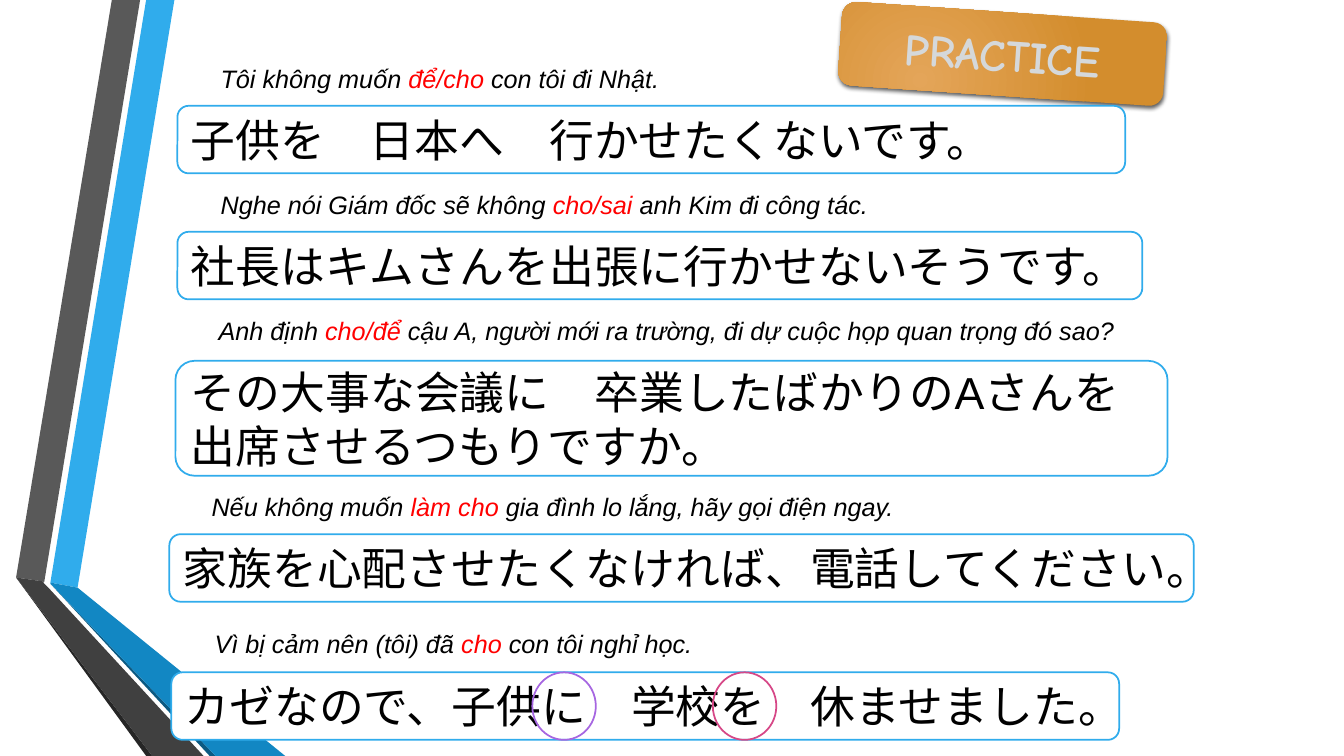
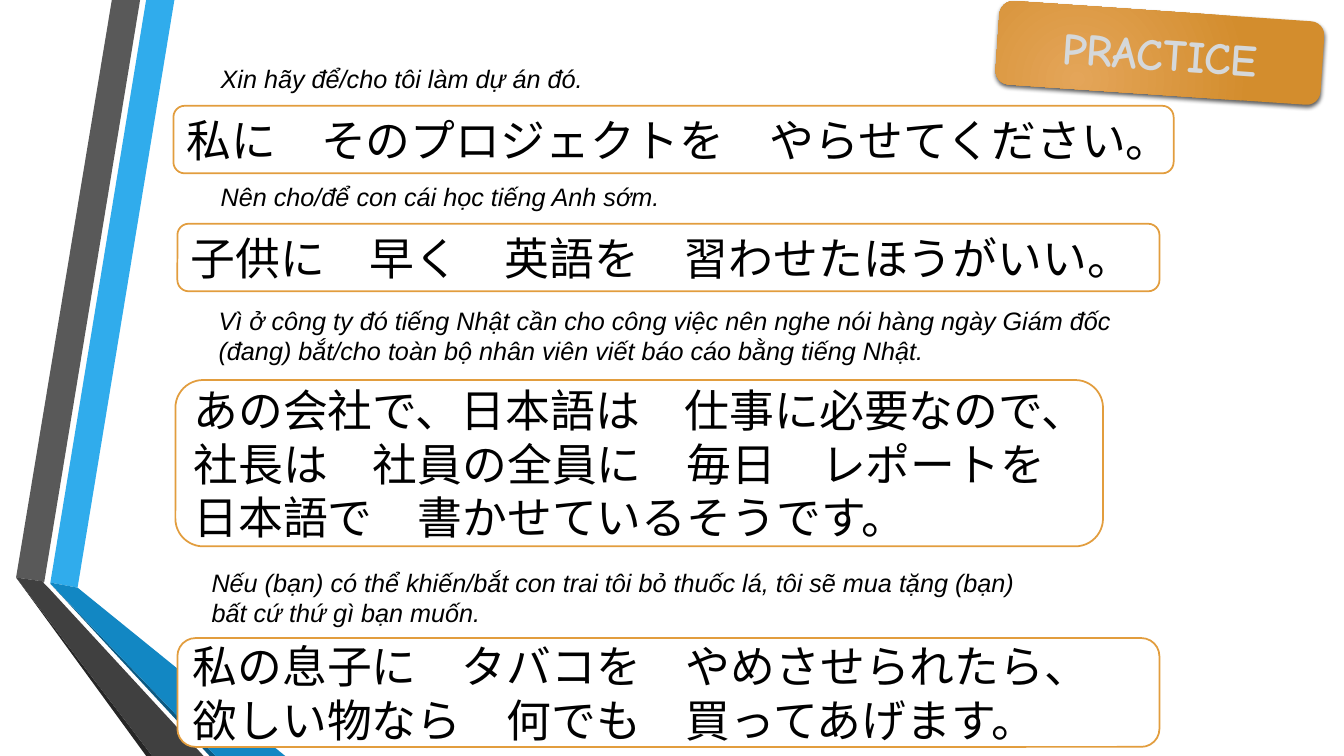
import dataclasses

import pptx
import pptx.dml.color
import pptx.enum.shapes
import pptx.enum.text
import pptx.oxml
import pptx.oxml.ns
import pptx.util

SHAPES = pptx.enum.shapes.MSO_SHAPE
ALIGN = pptx.enum.text.PP_ALIGN
CELL = pptx.util.Inches(0.1)  # one column or row of the layout grid


@dataclasses.dataclass(frozen=True)
class Theme:
    text_font: str = "Arial"
    badge_font: str = "Comic Neue"
    caption_size: int = 18
    answer_size: int = 32
    badge_size: int = 32
    line_width: float = 1.25
    ink: str = "000000"
    paper: str = "FFFFFF"
    emphasis: str = "FF0000"
    blue: str = "30ACEC"
    orange: str = "E29D3E"
    purple: str = "A666E1"
    pink: str = "D64787"
    badge_text: str = "D5D8DA"
    badge_outline: str = "212121"
    badge_glow: str = "E4A559"
    badge_edge: str = "D38D2D"


THEME = Theme()

# Ribbon facets: colour and corners in tenths of a grid cell
RIBBON = [
    (THEME.blue, [(50, 578), (77, 583), (173, 0), (145, 0)]),
    ("595959", [(139, 0), (111, 0), (16, 573), (44, 577)]),
    ("262626", [(16, 573), (145, 750), (151, 750)]),
    ("0C5A82", [(50, 579), (208, 750), (214, 750)]),
    ("1287C3", [(50, 579), (214, 750), (283, 750), (77, 583), (50, 578)]),
    ("404040", [(202, 750), (48, 583), (43, 578), (44, 577), (16, 573),
                (151, 750)]),
]


@dataclasses.dataclass(frozen=True)
class Exercise:
    caption: str       # words between bars are emphasised
    caption_at: tuple  # column, row, columns, rows
    answer: str
    answer_at: tuple


SAYING = [
    Exercise("Tôi không muốn |để/cho| con tôi đi Nhật.",
             (20.9, 5.8, 56.6, 4),
             "子供を　日本へ　行かせたくないです。",
             (17.6, 10.5, 94, 6.7)),
    Exercise("Nghe nói Giám đốc sẽ không |cho/sai |anh Kim đi công tác.",
             (20.9, 18.3, 69.1, 4),
             "社長はキムさんを出張に行かせないそうです。",
             (17.6, 23, 95.7, 6.7)),
    Exercise("Anh định |cho/để |cậu A, người mới ra trường, "
             "đi dự cuộc họp quan trọng đó sao?",
             (20.7, 30.8, 93.5, 4),
             "その大事な会議に　卒業したばかりのAさんを出席させるつもりですか。",
             (17.4, 35.8, 98.4, 11.4)),
    Exercise("Nếu không muốn |làm cho |gia đình lo lắng, hãy gọi điện ngay.",
             (20, 48.3, 77.5, 4),
             "家族を心配させたくなければ、電話してください。",
             (16.8, 53, 101.6, 6.7)),
    Exercise("Vì bị cảm nên (tôi) đã |cho| con tôi nghỉ học.",
             (20.3, 61.8, 50.5, 4),
             "カゼなので、子供に　学校を　休ませました。",
             (17, 66.7, 94, 6.7)),
]

ASKING = [
    Exercise("Xin hãy để/cho tôi làm dự án đó.",
             (20.9, 5.8, 60.8, 4),
             "私に　そのプロジェクトを　やらせてください。",
             (17.2, 10.5, 99.2, 6.7)),
    Exercise("Nên cho/để con cái học tiếng Anh sớm.",
             (20.9, 17.5, 60.8, 4),
             "子供に　早く　英語を　習わせたほうがいい。",
             (17.6, 22.2, 97.4, 6.7)),
    Exercise("Vì ở công ty đó tiếng Nhật cần cho công việc nên nghe nói "
             "hàng ngày Giám đốc (đang) bắt/cho toàn bộ nhân viên viết "
             "báo cáo bằng tiếng Nhật.",
             (20.7, 29.8, 92.7, 7.1),
             "あの会社で、日本語は　仕事に必要なので、\n"
             "社長は　社員の全員に　毎日　レポートを\n"
             "日本語で　書かせているそうです。",
             (17.4, 37.7, 92, 16.5)),
    Exercise("Nếu (bạn) có thể khiến/bắt con trai tôi bỏ thuốc lá, "
             "tôi sẽ mua tặng (bạn) bất cứ thứ gì bạn muốn.",
             (20, 55.8, 83.3, 7.1),
             "私の息子に　タバコを　やめさせられたら、\n"
             "欲しい物なら　何でも　買ってあげます。",
             (17.6, 63.3, 97.4, 10.8)),
]


def rgb(color):
    return pptx.dml.color.RGBColor.from_string(color)


def cells(area):
    return [round(length * CELL) for length in area]


def drawing_xml(markup):
    """Parse one DrawingML element, given without its namespace."""
    namespace = pptx.oxml.ns.nsdecls("a")
    return pptx.oxml.parse_xml(markup.replace(">", f" {namespace}>", 1))


def style_paragraph(paragraph, font_name, size, color, align=ALIGN.LEFT):
    paragraph.alignment = align
    paragraph.font.name = font_name
    paragraph.font.size = pptx.util.Pt(size)
    paragraph.font.color.rgb = rgb(color)


def paint(shape, fill=None, line=None):
    shape.shadow.inherit = False
    if fill:
        shape.fill.solid()
        shape.fill.fore_color.rgb = rgb(fill)
    else:
        shape.fill.background()
    if line:
        shape.line.color.rgb = rgb(line)
        shape.line.width = pptx.util.Pt(THEME.line_width)
    else:
        shape.line.fill.background()


def add_ribbon(slide):
    for color, corners in RIBBON:
        outline = slide.shapes.build_freeform(*corners[0], scale=CELL / 10)
        outline.add_line_segments(corners[1:], close=True)
        paint(outline.convert_to_shape(), color)


def add_badge(slide, column, row):
    badge = slide.shapes.add_shape(
        SHAPES.ROUNDED_RECTANGLE, *cells((column, row, 32.3, 8.3)))
    badge.rotation = 3.9
    paint(badge)

    # Radial gradient
    badge.fill.gradient()
    for stop, color in zip(badge.fill.gradient_stops,
                           (THEME.badge_glow, THEME.badge_edge)):
        stop.color.rgb = rgb(color)
    properties = badge.element.spPr
    linear = properties.find(".//" + pptx.oxml.ns.qn("a:lin"))
    linear.getparent().replace(linear, drawing_xml(
        '<a:path path="circle"><a:fillToRect l="50000" t="100000" '
        'r="100000" b="50000"/></a:path>'))

    # Drop shadow
    properties.find(pptx.oxml.ns.qn("a:effectLst")).append(drawing_xml(
        '<a:outerShdw blurRad="38100" dist="25400" dir="5400000" '
        'rotWithShape="0"><a:srgbClr val="000000"><a:alpha val="64000"/>'
        '</a:srgbClr></a:outerShdw>'))

    # Outlined lettering
    frame = badge.text_frame
    frame.vertical_anchor = pptx.enum.text.MSO_ANCHOR.MIDDLE
    heading = frame.paragraphs[0]
    lettering = heading.add_run()
    lettering.text = "PRACTICE"
    style_paragraph(heading, THEME.badge_font, THEME.badge_size,
                    THEME.badge_text, ALIGN.CENTER)
    heading.font.bold = True
    lettering.font.fill.solid()
    lettering.font.fill.fore_color.rgb = rgb(THEME.badge_text)
    lettering._r.get_or_add_rPr().insert(0, drawing_xml(
        f'<a:ln w="12700"><a:solidFill><a:srgbClr '
        f'val="{THEME.badge_outline}"/></a:solidFill></a:ln>'))


def add_caption(slide, caption, area):
    frame = slide.shapes.add_textbox(*cells(area)).text_frame
    frame.word_wrap = True
    frame.auto_size = pptx.enum.text.MSO_AUTO_SIZE.SHAPE_TO_FIT_TEXT
    sentence = frame.paragraphs[0]
    style_paragraph(sentence, THEME.text_font, THEME.caption_size, THEME.ink)
    sentence.font.italic = True
    for index, words in enumerate(caption.split("|")):
        run = sentence.add_run()
        run.text = words
        if index % 2:
            run.font.color.rgb = rgb(THEME.emphasis)


def add_answer(slide, answer, area, border):
    panel = slide.shapes.add_shape(SHAPES.ROUNDED_RECTANGLE, *cells(area))
    paint(panel, THEME.paper, border)
    frame = panel.text_frame
    frame.word_wrap = True
    frame.vertical_anchor = pptx.enum.text.MSO_ANCHOR.MIDDLE
    frame.text = answer
    for sentence in frame.paragraphs:
        style_paragraph(sentence, THEME.text_font, THEME.answer_size,
                        THEME.ink)


def add_particle_ring(slide, column, row, color):
    ring = slide.shapes.add_shape(
        SHAPES.OVAL, *cells((column, row, 6.3, 6.7)))
    paint(ring, line=color)


def add_practice_slide(deck, badge_at, exercises, border):
    slide = deck.slides.add_slide(deck.slide_layouts[6])
    add_ribbon(slide)
    add_badge(slide, *badge_at)
    for exercise in exercises:
        add_caption(slide, exercise.caption, exercise.caption_at)
        add_answer(slide, exercise.answer, exercise.answer_at, border)
    return slide


def main():
    deck = pptx.Presentation()
    deck.slide_width = pptx.util.Inches(13.33)
    deck.slide_height = pptx.util.Inches(7.5)

    # Letting and making someone do something
    saying = add_practice_slide(deck, (83.3, 1.2), SAYING, THEME.blue)
    for column, color in ((52.8, THEME.purple), (70.7, THEME.pink)):
        add_particle_ring(saying, column, 66.7, color)

    # Requests, advice and conditions
    add_practice_slide(deck, (98.9, 1.1), ASKING, THEME.orange)

    deck.save("out.pptx")


if __name__ == "__main__":
    main()
